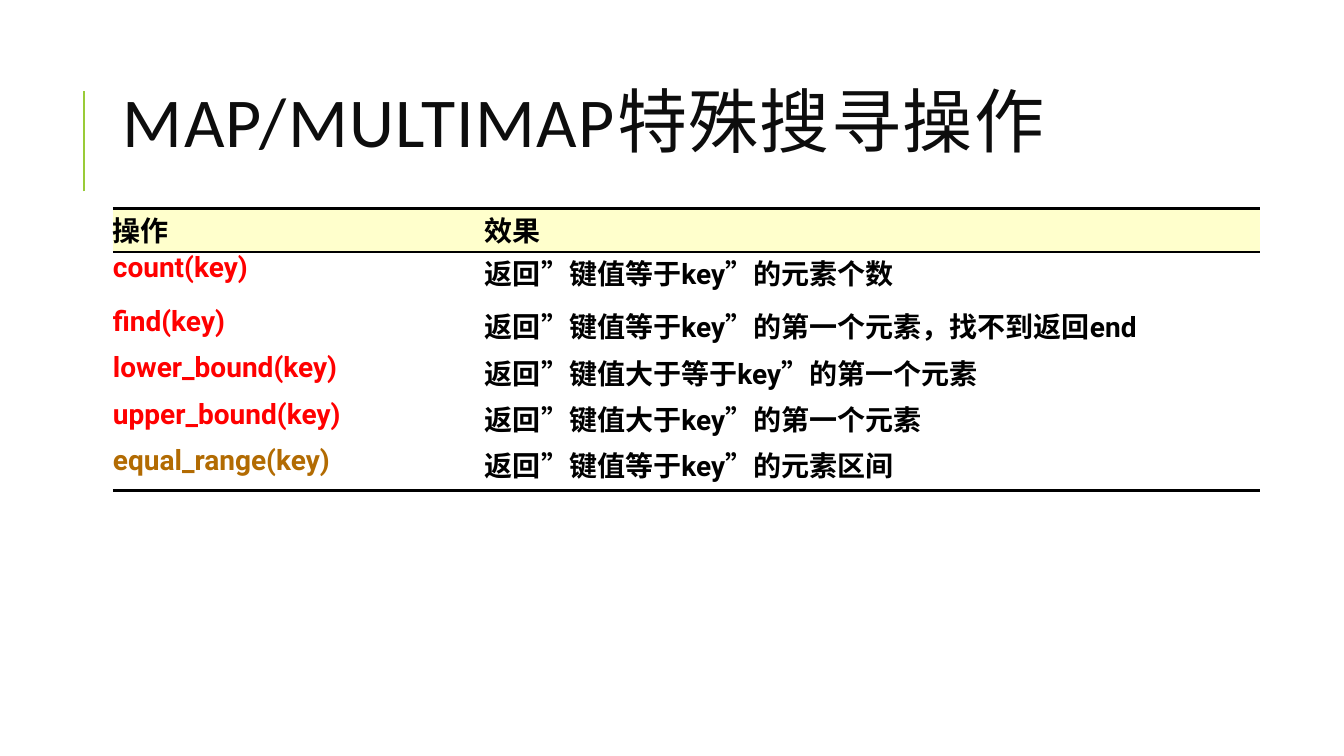
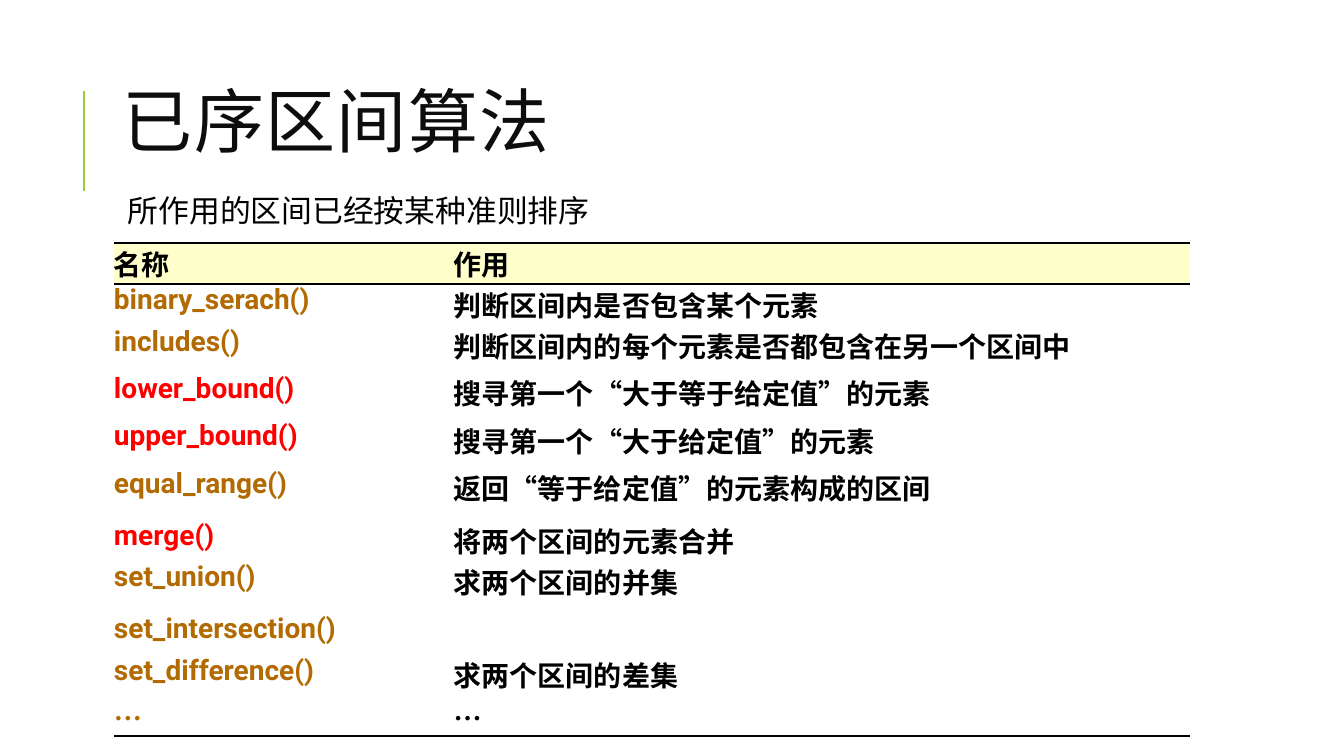
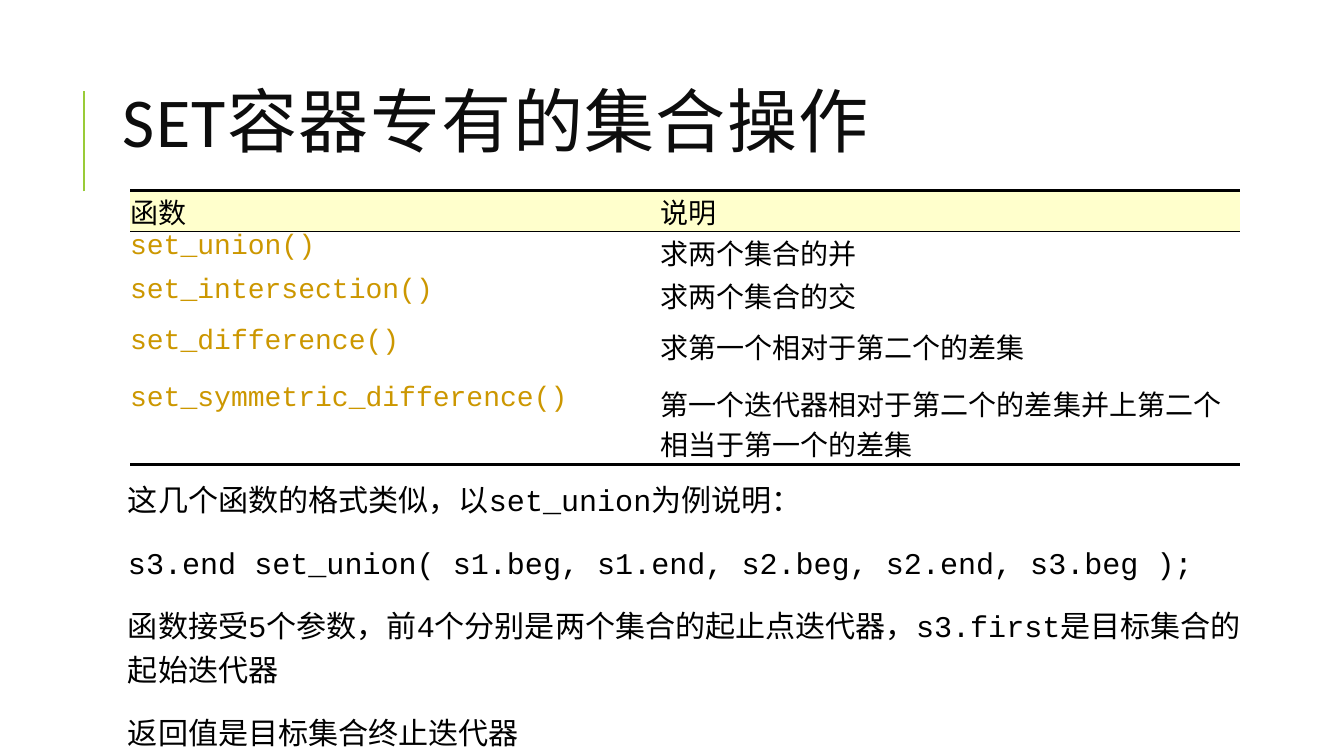
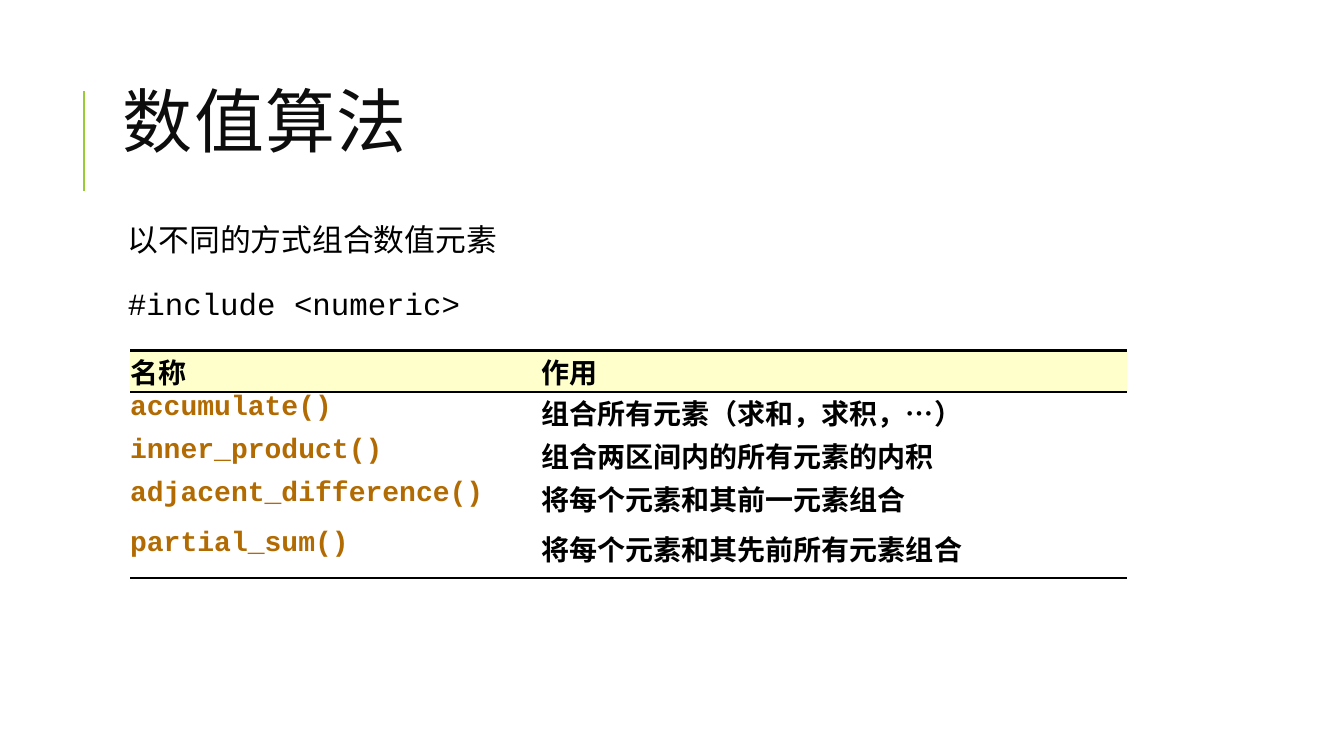
from dataclasses import dataclass
from itertools import groupby

from lxml import etree
from pptx import Presentation
from pptx import util as u
from pptx.dml.color import RGBColor
from pptx.enum import lang, shapes, text
from pptx.oxml.ns import qn


@dataclass(frozen=True)
class Theme:
    ink: str = "000000"
    head: str = "0D0D0D"
    rule: str = "99CB38"
    band: str = "FFFFCC"
    red: str = "FF0000"
    brown: str = "B26B02"
    gold: str = "CC9700"
    face: str = "Calibri"
    sans: str = "Roboto"
    serif: str = "Times New Roman"
    mono: str = "Courier New"
    big: float = 50
    mid: float = 22
    fit: float = 21.5
    cell: float = 20
    thick: float = 2.25
    thin: float = 1.5
    hair: float = 1


T = Theme()
deck = Presentation()
deck.slide_width, deck.slide_height = u.Inches(13.33), u.Inches(7.5)
# Lengths are percent of the slide: COL across, ROW down.
COL, ROW = deck.slide_width / 100, deck.slide_height / 100
LEFT = 8.4


def write(frame, lines, size, face, color=T.ink, bold=False, lead=None,
          gap=0, after=0, indent=0, track=0, pad=None, anchor="TOP"):
    """Fill a text frame; quotes and dots beside Roboto are set in serif."""
    frame.word_wrap = True
    frame.vertical_anchor = text.MSO_ANCHOR[anchor]
    if pad is not None:
        frame.margin_left = frame.margin_right = u.Inches(pad)
        frame.margin_top = frame.margin_bottom = u.Inches(pad)
    for i, line in enumerate(lines):
        para = frame.add_paragraph() if i else frame.paragraphs[0]
        para.line_spacing = lead
        para.space_before = u.Pt(gap if i else 0)
        para.space_after = u.Pt(after)
        if indent:
            props = para._p.get_or_add_pPr()
            props.set("marL", str(u.Inches(indent)))
            props.set("indent", "0")
        for mark, chars in groupby(line, lambda c: face == T.sans and c in "“”…"):
            run = para.add_run()
            run.text = "".join(chars)
            font = run.font
            font.name = T.serif if mark else face
            font.size, font.bold = u.Pt(size), bold
            font.color.rgb = RGBColor.from_string(color)
            font.language_id = lang.MSO_LANGUAGE_ID.SIMPLIFIED_CHINESE
            if track:
                run._r.get_or_add_rPr().set("spc", str(track * 100))


def border(cell, side, width):
    props = cell._tc.get_or_add_tcPr()
    line = etree.SubElement(props, qn("a:ln" + side), w=str(u.Pt(width)))
    fill = etree.SubElement(line, qn("a:solidFill"))
    etree.SubElement(fill, qn("a:srgbClr"), val=T.ink)


pages = [
    dict(
        title="MAP/MULTIMAP特殊搜寻操作",
        face=T.sans, bold=True, rule=T.thin, spot=(LEFT, 27.6),
        cols=[27.68, 57.68], rows=[5.73, 7.07] + [6.13] * 4,
        cells=[
            (T.ink, "操作", "效果"),
            (T.red, "count(key)", "返回”键值等于key”的元素个数"),
            (T.red, "find(key)", "返回”键值等于key”的第一个元素，找不到返回end"),
            (T.red, "lower_bound(key)", "返回”键值大于等于key”的第一个元素"),
            (T.red, "upper_bound(key)", "返回”键值大于key”的第一个元素"),
            (T.brown, "equal_range(key)", "返回”键值等于key”的元素区间"),
        ],
    ),
    dict(
        title="已序区间算法",
        body=["所作用的区间已经按某种准则排序"], top=23.73, tall=64.4, size=T.mid,
        face=T.sans, bold=True, rule=T.hair, spot=(8.48, 32.13),
        cols=[25.28, 54.75],
        rows=[5.43, 5.43] + [6.27] * 3 + [6.93, 5.43, 6.93] + [5.43] * 3,
        cells=[
            (T.ink, "名称", "作用"),
            (T.brown, "binary_serach()", "判断区间内是否包含某个元素"),
            (T.brown, "includes()", "判断区间内的每个元素是否都包含在另一个区间中"),
            (T.red, "lower_bound()", "搜寻第一个“大于等于给定值”的元素"),
            (T.red, "upper_bound()", "搜寻第一个“大于给定值”的元素"),
            (T.brown, "equal_range()", "返回“等于给定值”的元素构成的区间"),
            (T.red, "merge()", "将两个区间的元素合并"),
            (T.brown, "set_union()", "求两个区间的并集"),
            (T.brown, "set_intersection()", ""),
            (T.brown, "set_difference()", "求两个区间的差集"),
            (T.brown, "…", "…"),
        ],
    ),
    dict(
        title="SET容器专有的集合操作",
        body=[
            "这几个函数的格式类似，以set_union为例说明：",
            "s3.end set_union( s1.beg, s1.end, s2.beg, s2.end, s3.beg );",
            "函数接受5个参数，前4个分别是两个集合的起止点迭代器，s3.first是目标集合的起始迭代器",
            "返回值是目标集合终止迭代器",
        ],
        top=62.13, tall=37.87, size=T.fit,
        face=T.mono, bold=False, rule=T.thin, spot=(9.68, 25.2),
        cols=[39.45, 43.13], rows=[5.43, 5.73, 6.8, 7.47, 10.8],
        cells=[
            (T.ink, "函数", "说明"),
            (T.gold, "set_union()", "求两个集合的并"),
            (T.gold, "set_intersection()", "求两个集合的交"),
            (T.gold, "set_difference()", "求第一个相对于第二个的差集"),
            (T.gold, "set_symmetric_difference()",
             "第一个迭代器相对于第二个的差集并上第二个相当于第一个的差集"),
        ],
    ),
    dict(
        title="数值算法",
        body=["以不同的方式组合数值元素", "#include <numeric>"],
        top=27.6, tall=64.4, size=T.mid,
        face=T.mono, bold=True, rule=T.thin, spot=(9.68, 46.4),
        cols=[30.6, 43.58], rows=[5.43, 5.73, 5.73, 6.53, 6.67],
        cells=[
            (T.ink, "名称", "作用"),
            (T.brown, "accumulate()", "组合所有元素（求和，求积，…）"),
            (T.brown, "inner_product()", "组合两区间内的所有元素的内积"),
            (T.brown, "adjacent_difference()", "将每个元素和其前一元素组合"),
            (T.brown, "partial_sum()", "将每个元素和其先前所有元素组合"),
        ],
    ),
]

for page in pages:
    slide = deck.slides.add_slide(deck.slide_layouts[6])
    items = slide.shapes

    # Accent line and title
    x = int(6.25 * COL)
    rule = items.add_connector(shapes.MSO_CONNECTOR.STRAIGHT,
                               x, int(25.33 * ROW), x, int(12 * ROW))
    rule.line.color.rgb = RGBColor.from_string(T.rule)
    rule.line.width = u.Pt(T.thin)
    etree.SubElement(rule.element.spPr, qn("a:effectLst"))
    box = items.add_textbox(int(LEFT * COL), int(8.53 * ROW),
                            int(79.73 * COL), int(16.67 * ROW))
    write(box.text_frame, [page["title"]], T.big, T.face, color=T.head,
          lead=0.8, track=1, anchor="MIDDLE")

    # Body text
    if "body" in page:
        box = items.add_textbox(int(LEFT * COL), int(page["top"] * ROW),
                                int(85.35 * COL), int(page["tall"] * ROW))
        write(box.text_frame, page["body"], page["size"], T.mono,
              lead=1.2, gap=12, after=2, indent=0.1, pad=0.05)

    # Table
    cols, rows = page["cols"], page["rows"]
    left, top = page["spot"]
    frame = items.add_table(len(rows), len(cols), int(left * COL), int(top * ROW),
                            int(sum(cols) * COL), int(sum(rows) * ROW))
    for style in frame.element.iter(qn("a:tableStyleId")):
        style.text = "{2D5ABB26-0587-4C30-8999-92F81FD0307C}"
    table = frame.table
    table.first_row = table.horz_banding = False
    for c, wide in enumerate(cols):
        table.columns[c].width = int(wide * COL)
    for r, (color, *words) in enumerate(page["cells"]):
        table.rows[r].height = int(rows[r] * ROW)
        for c, word in enumerate(words):
            cell = table.cell(r, c)
            cell.margin_left = cell.margin_right = 0
            cell.margin_top = cell.margin_bottom = 0
            write(cell.text_frame, [word], T.cell, page["face"],
                  color=T.ink if c else color, bold=page["bold"])
            if r == 0:
                border(cell, "T", T.thick)
                border(cell, "B", page["rule"])
                cell.fill.solid()
                cell.fill.fore_color.rgb = RGBColor.from_string(T.band)
            else:
                if r == len(rows) - 1:
                    border(cell, "B", T.thick)
                cell.fill.background()

deck.save("out.pptx")
